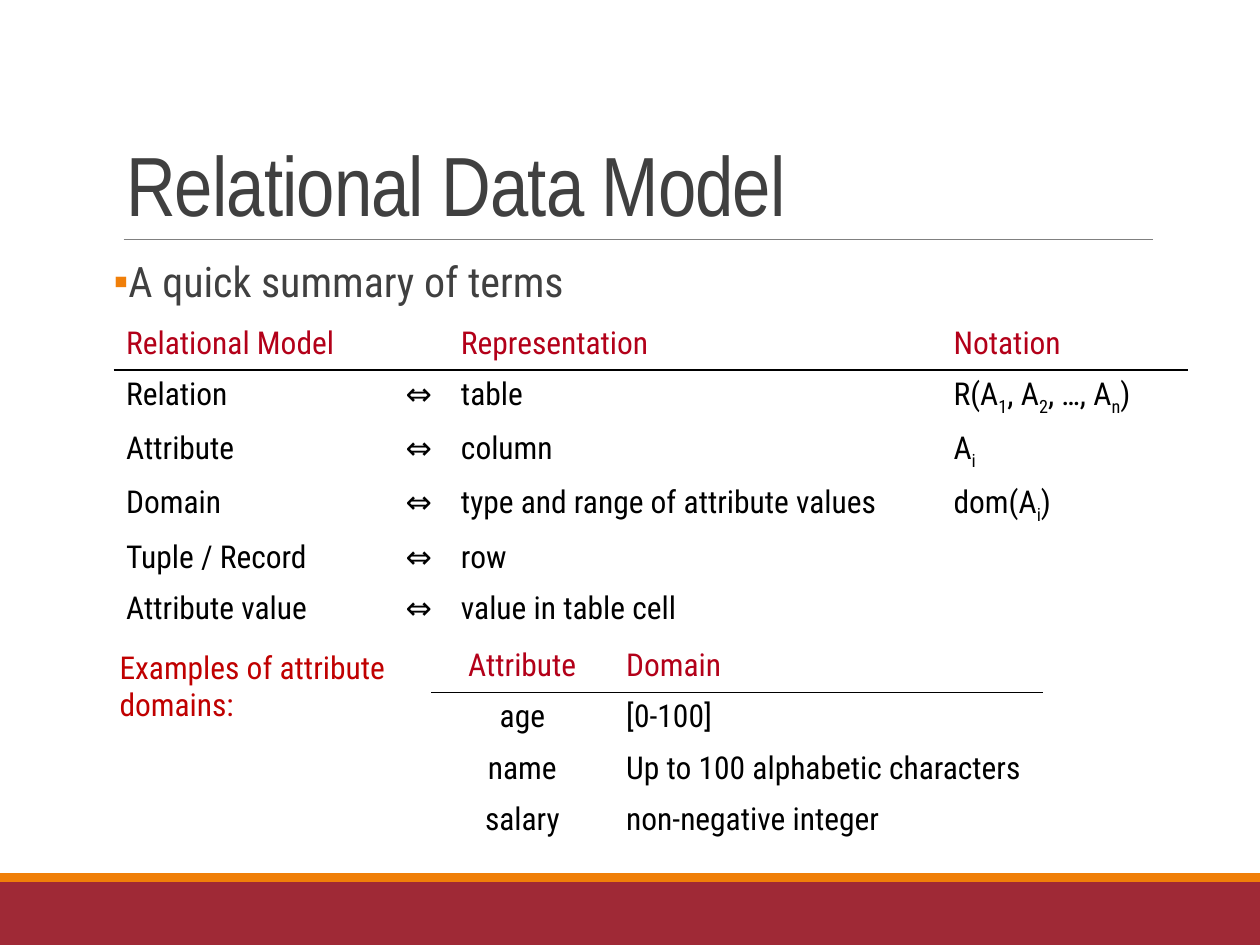
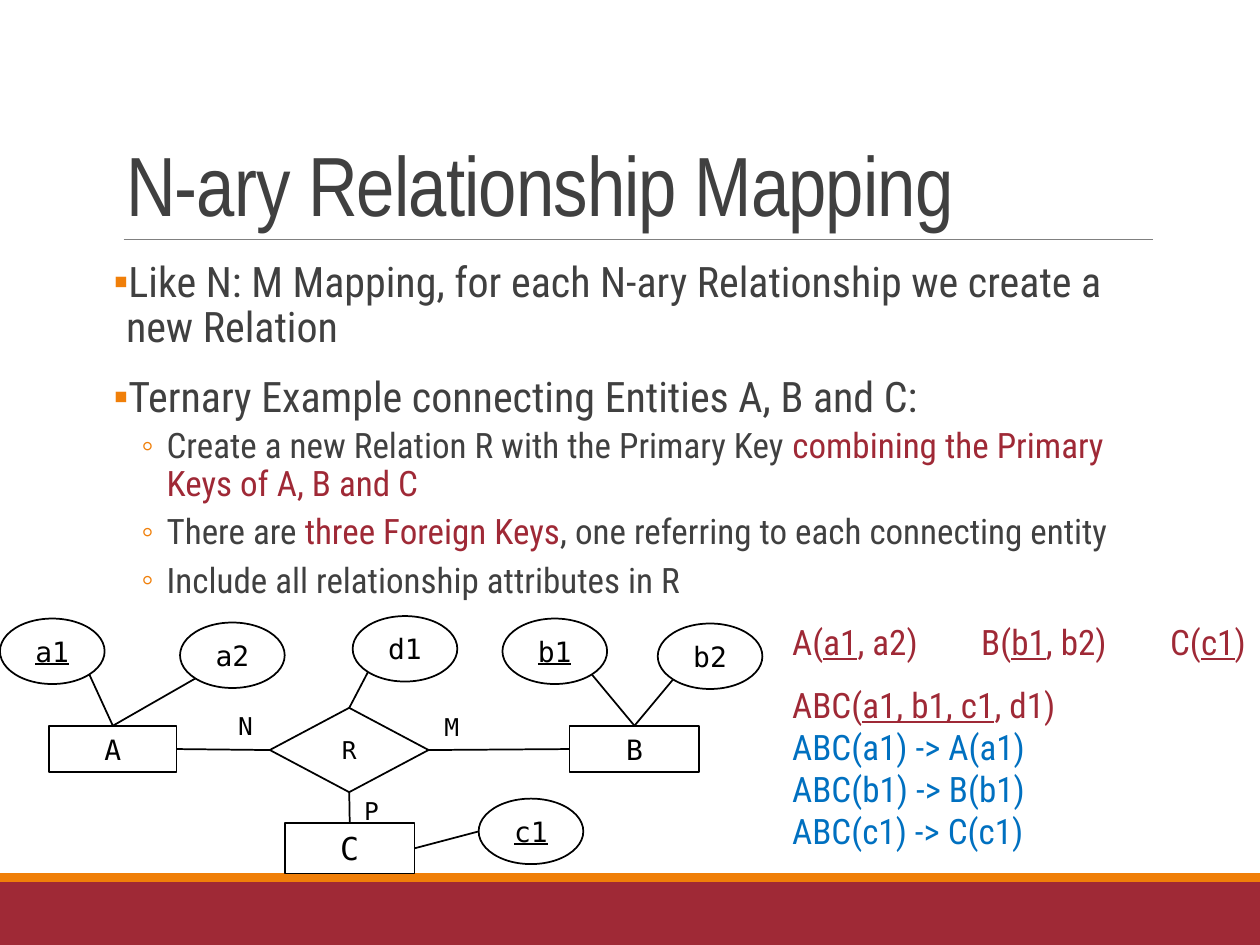
from pptx import Presentation
from pptx.dml.color import RGBColor
from pptx.enum.shapes import MSO_CONNECTOR, MSO_SHAPE
from pptx.enum.text import MSO_ANCHOR, MSO_AUTO_SIZE, PP_ALIGN
from pptx.oxml import parse_xml
from pptx.oxml.ns import nsdecls, qn
from pptx.util import Cm, Pt

# Shared look
CRIMSON = RGBColor(0x9F, 0x29, 0x36)
ORANGE = RGBColor(0xF0, 0x7F, 0x09)
HEADER_RED = RGBColor(0xB3, 0x00, 0x19)
NOTE_RED = RGBColor(0xC0, 0x00, 0x00)
BLUE = RGBColor(0x00, 0x70, 0xC0)
DARK = RGBColor(0x40, 0x40, 0x40)
GRAY = RGBColor(0x80, 0x80, 0x80)
BLACK = RGBColor(0x00, 0x00, 0x00)
WHITE = RGBColor(0xFF, 0xFF, 0xFF)

TITLE_FONT = "Arial Narrow"
TEXT_FONT = "Roboto Condensed"
DIAGRAM_FONT = "DejaVu Sans Mono"

LEFT_ALIGN, CENTER = PP_ALIGN.LEFT, PP_ALIGN.CENTER
BOTTOM_ANCHOR, MIDDLE = MSO_ANCHOR.BOTTOM, MSO_ANCHOR.MIDDLE
NO_AUTOFIT = MSO_AUTO_SIZE.NONE
STRAIGHT = MSO_CONNECTOR.STRAIGHT
RECT, OVAL, DIAMOND = MSO_SHAPE.RECTANGLE, MSO_SHAPE.OVAL, MSO_SHAPE.DIAMOND
NO_TABLE_STYLE = "{2D5ABB26-0587-4C30-8999-92F81FD0307C}"

# Bullet levels: size, character, margin, indent, space before, space after
BULLETS = [
    (24, "▪", 0.25, -0.25, 12, 2),
    (20, "◦", 1.07, -0.51, 2, 4),
]

# Run styles
SUB = {"sub": True}
KEY = {"underline": True}
STRESS = {"color": CRIMSON}

# Points on a node, as fractions of its width and height
TOP, BOTTOM, LEFT, RIGHT = (0.5, 0), (0.5, 1), (0, 0.5), (1, 0.5)
LOWER_LEFT, LOWER_RIGHT = (0.146, 0.854), (0.854, 0.854)


def box(*lengths):
    return [Cm(length) for length in lengths]


def write(paragraph, pieces, size, color, font=TEXT_FONT):
    """Add runs; a piece is a string or a (string, style) pair."""
    for piece in [pieces] if isinstance(pieces, str) else pieces:
        text, style = (piece, {}) if isinstance(piece, str) else piece
        run = paragraph.add_run()
        run.text = text
        run.font.size = Pt(size)
        run.font.name = font
        run.font.color.rgb = style.get("color", color)
        if style.get("underline"):
            run.font.underline = True
        if style.get("sub"):
            run._r.get_or_add_rPr().set("baseline", "-25000")


def next_paragraph(frame, index):
    return frame.add_paragraph() if index else frame.paragraphs[0]


def add_line(slide, start, end, color, width):
    line = slide.shapes.add_connector(STRAIGHT, *start, *end)
    line.line.color.rgb = color
    line.line.width = Pt(width)
    line._element.spPr.append(parse_xml(f"<a:effectLst {nsdecls('a')}/>"))


def add_band(slide, top, height, color):
    band = slide.shapes.add_shape(RECT, *box(0, top, 25.4, height))
    band.shadow.inherit = False
    band.fill.solid()
    band.fill.fore_color.rgb = color
    band.line.fill.background()


def add_slide(prs, title_text, bullets):
    slide = prs.slides.add_slide(prs.slide_layouts[1])
    # Footer bands and title rule
    add_band(slide, 17.78, 1.27, CRIMSON)
    add_band(slide, 17.6, 0.18, ORANGE)
    add_line(slide, box(2.49, 4.83), box(23.24, 4.83), GRAY, 0.5)

    # Title
    title = slide.shapes.title
    title.left, title.top, title.width, title.height = box(2.29, 0.79, 20.96, 4.04)
    title.text_frame.auto_size = NO_AUTOFIT
    title.text_frame.vertical_anchor = BOTTOM_ANCHOR
    heading = title.text_frame.paragraphs[0]
    heading.alignment = LEFT_ALIGN
    heading.line_spacing = 0.85
    write(heading, title_text, 48, DARK, TITLE_FONT)
    heading.runs[0]._r.get_or_add_rPr().set("spc", "-50")

    # Bullet list
    body = slide.placeholders[1]
    body.left, body.top, body.width, body.height = box(2.29, 5.13, 20.96, 11.18)
    frame = body.text_frame
    frame.auto_size = NO_AUTOFIT
    frame.margin_left = frame.margin_right = 0
    for index, (level, pieces) in enumerate(bullets):
        add_bullet(next_paragraph(frame, index), level, pieces, first=index == 0)
    return slide


def add_bullet(paragraph, level, pieces, first):
    size, mark, margin, indent, before, after = BULLETS[level]
    paragraph.level = level
    paragraph.line_spacing = 0.9
    paragraph.space_before = Pt(0 if first else before)
    paragraph.space_after = Pt(after)
    props = paragraph._p.get_or_add_pPr()
    props.set("marL", str(Cm(margin)))
    props.set("indent", str(Cm(indent)))
    for xml in (f'<a:buClr {nsdecls("a")}><a:srgbClr val="{ORANGE}"/></a:buClr>',
                f'<a:buChar {nsdecls("a")} char="{mark}"/>'):
        props.append(parse_xml(xml))
    write(paragraph, pieces, size, DARK)


def add_terms_table(slide, left, top, widths, rows, centered):
    """Plain table with a red header row over a black rule."""
    row_height = 1.03
    table = slide.shapes.add_table(
        len(rows), len(widths),
        *box(left, top, sum(widths), row_height * len(rows))).table
    table._tbl.tblPr.find(qn("a:tableStyleId")).text = NO_TABLE_STYLE
    table.horz_banding = False
    for column, width in zip(table.columns, widths):
        column.width = Cm(width)
    for r, row in enumerate(rows):
        table.rows[r].height = Cm(row_height)
        for c, pieces in enumerate(row):
            cell = table.cell(r, c)
            cell.fill.background()
            paragraph = cell.text_frame.paragraphs[0]
            if c == centered:
                paragraph.alignment = CENTER
            if pieces:
                write(paragraph, pieces, 18, BLACK if r else HEADER_RED)
            if r == 0:
                cell._tc.get_or_add_tcPr().insert(0, parse_xml(
                    f'<a:lnB {nsdecls("a")} w="12700"><a:solidFill>'
                    f'<a:srgbClr val="{BLACK}"/></a:solidFill></a:lnB>'))


def add_text(slide, place, lines, size, color, font=TEXT_FONT, wrap=True):
    """Add a text box; return its paragraphs."""
    frame = slide.shapes.add_textbox(*box(*place)).text_frame
    frame.word_wrap = wrap
    for index, pieces in enumerate(lines):
        write(next_paragraph(frame, index), pieces, size, color, font)
    return frame.paragraphs


def add_node(slide, kind, place, label, size=16, fill=None, style=None):
    node = slide.shapes.add_shape(kind, *box(*place))
    node.shadow.inherit = False
    if fill is None:
        node.fill.background()
    else:
        node.fill.solid()
        node.fill.fore_color.rgb = fill
    node.line.color.rgb = BLACK
    node.line.width = Pt(1)
    node.text_frame.vertical_anchor = MIDDLE
    paragraph = node.text_frame.paragraphs[0]
    paragraph.alignment = CENTER
    write(paragraph, [(label, style or {})], size, BLACK, DIAGRAM_FONT)
    return node


def add_attribute(slide, left, top, label, style=None):
    return add_node(slide, OVAL, (left, top, 2.11, 1.32), label, style=style)


def point(node, side):
    return (int(node.left + node.width * side[0]),
            int(node.top + node.height * side[1]))


def build_summary(prs):
    slide = add_slide(prs, "Relational Data Model",
                      [(0, "A quick summary of terms")])
    # Terms
    terms = [
        ("Relation", "table",
         ["R(A", ("1", SUB), ", A", ("2", SUB), ", …, A", ("n", SUB), ")"]),
        ("Attribute", "column", ["A", ("i", SUB)]),
        ("Domain", "type and range of attribute values",
         ["dom(A", ("i", SUB), ")"]),
        ("Tuple / Record", "row", ""),
        ("Attribute value", "value in table cell", ""),
    ]
    rows = [("Relational Model", "", "Representation", "Notation")]
    rows += [(term, "⇔", meaning, notation) for term, meaning, notation in terms]
    add_terms_table(slide, 2.29, 6.43, [5.56, 1.19, 9.93, 4.98], rows, centered=1)

    # Domain examples
    add_text(slide, (2.16, 12.93, 6.99, 1.8),
             ["Examples of attribute domains:"], 18, NOTE_RED)
    domains = [
        ("Attribute", "Domain"),
        ("age", "[0-100]"),
        ("name", "Up to 100 alphabetic characters"),
        ("salary", "non-negative integer"),
    ]
    add_terms_table(slide, 8.69, 12.93, [3.68, 8.66], domains, centered=0)


def draw_er_diagram(slide):
    # Entities and relationship
    a = add_node(slide, RECT, (0.99, 14.63, 2.57, 0.94), "A")
    b = add_node(slide, RECT, (11.48, 14.63, 2.62, 0.94), "B", fill=WHITE)
    c = add_node(slide, RECT, (5.74, 16.59, 2.62, 1.02), "C", 18, WHITE)
    r = add_node(slide, DIAMOND, (5.44, 14.27, 3.2, 1.7), "R", 14, WHITE)

    # Attributes, keys underlined
    a1 = add_attribute(slide, 0, 12.47, "a1", KEY)
    a2 = add_attribute(slide, 3.63, 12.55, "a2")
    b1 = add_attribute(slide, 10.13, 12.47, "b1", KEY)
    b2 = add_attribute(slide, 13.26, 12.57, "b2")
    c1 = add_attribute(slide, 9.65, 16.1, "c1", KEY)
    d1 = add_attribute(slide, 7.11, 12.42, "d1")

    links = [
        (a1, LOWER_RIGHT, a, TOP), (a2, LOWER_LEFT, a, TOP),
        (b1, LOWER_RIGHT, b, TOP), (b2, LOWER_LEFT, b, TOP),
        (c1, LEFT, c, RIGHT), (d1, LOWER_LEFT, r, TOP),
        (a, RIGHT, r, LEFT), (r, RIGHT, b, LEFT), (r, BOTTOM, c, TOP),
    ]
    for start, start_side, end, end_side in links:
        add_line(slide, point(start, start_side), point(end, end_side), BLACK, 1)

    # Cardinalities
    for label, left, top in [("N", 4.55, 14.2), ("M", 8.71, 14.22), ("P", 7.09, 15.93)]:
        add_text(slide, (left, top, 0.81, 0.86), [label], 14, BLACK,
                 DIAGRAM_FONT, wrap=False)


def build_mapping(prs):
    slide = add_slide(prs, "N-ary Relationship Mapping", [
        (0, "Like N: M Mapping, for each N-ary Relationship we create a new Relation"),
        (0, "Ternary Example connecting Entities A, B and C:"),
        (1, ["Create a new Relation R with the Primary Key ",
             ("combining the Primary Keys of A, B and C", STRESS)]),
        (1, ["There are ", ("three Foreign Keys", STRESS),
             ", one referring to each connecting entity"]),
        (1, "Include all relationship attributes in R"),
    ])
    draw_er_diagram(slide)

    # Resulting relations and foreign keys
    relations = [
        ["A(", ("a1", KEY), ", a2)\tB(", ("b1", KEY), ", b2)\tC(", ("c1", KEY), ")"],
        ["ABC(", ("a1, b1, c1", KEY), ", d1)"],
    ]
    foreign_keys = [[(f"ABC({name.lower()}1) -> {name}({name.lower()}1)",
                      {"color": BLUE})] for name in "ABC"]
    lines = add_text(slide, (15.72, 11.96, 10.41, 5.38),
                     relations + foreign_keys, 20, CRIMSON)
    for line in lines[:len(relations)]:
        line.line_spacing = 1.5
    stops = "".join(f'<a:tab pos="{Cm(stop)}" algn="l"/>' for stop in (3.81, 7.62))
    lines[0]._p.get_or_add_pPr().append(
        parse_xml(f"<a:tabLst {nsdecls('a')}>{stops}</a:tabLst>"))


def main():
    prs = Presentation()
    prs.slide_width, prs.slide_height = box(25.4, 19.05)
    build_summary(prs)
    build_mapping(prs)
    prs.save("out.pptx")


if __name__ == "__main__":
    main()
